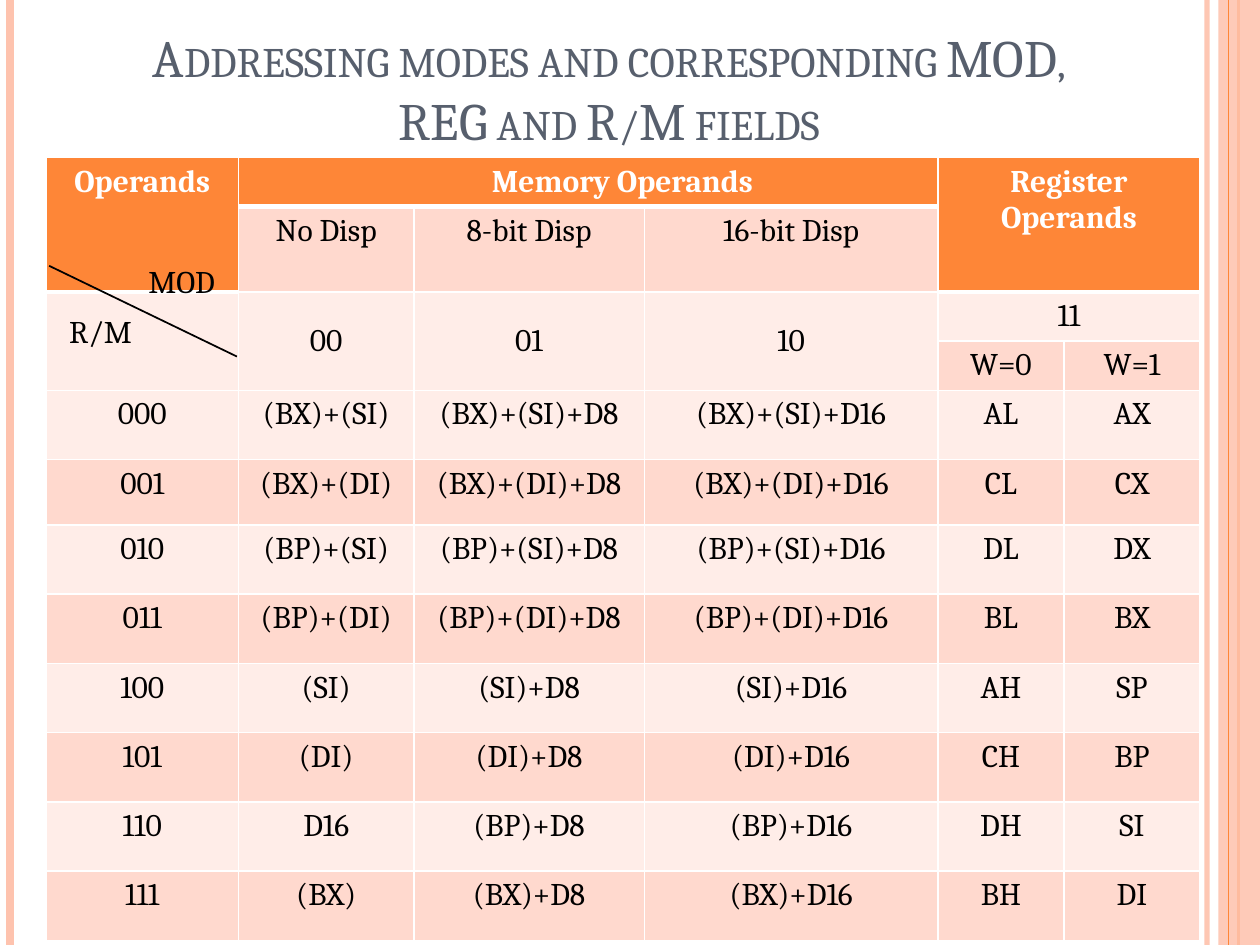
from dataclasses import dataclass
from typing import Optional

from lxml import etree
from pptx import Presentation
from pptx import util as u
from pptx.dml.color import RGBColor
from pptx.enum import shapes, text
from pptx.oxml import ns


@dataclass(frozen=True)
class Theme:
    font: str = "Cambria"
    title_size: int = 30
    body_size: int = 18
    title: str = "575F6D"
    ink: str = "000000"
    white: str = "FFFFFF"
    accent: str = "FE8637"
    stripe: str = "FEC3AE"
    pale: str = "FFEDE8"
    tint: str = "FFD9CE"


@dataclass(frozen=True)
class Stripe:
    x: float
    color: str
    weight: float
    opacity: int = 100


@dataclass(frozen=True)
class Label:
    words: str
    x: float
    y: float


@dataclass(frozen=True)
class Cell:
    row: int
    column: int
    words: str
    fill: str
    rows: int = 1
    columns: int = 1
    header: bool = False
    middle: bool = False
    indent: float = 0.1


@dataclass(frozen=True)
class Mode:
    code: str
    base: str
    byte_register: str
    word_register: str
    undisplaced: Optional[str] = None


THEME = Theme()
WIDTH, HEIGHT = u.Inches(10), u.Inches(7.5)

# Lengths are percentages of the slide's width (x) or height (y)
COLUMNS = (15.3, 13.9, 18.3, 23.3, 10, 10.8)
ROWS = (5.2, 8.93, 5.2, 5.2, 7.33, 6.93) + (7.33,) * 6
TABLE_LEFT, TABLE_TOP = 3.64, 16.67
# (row boundary, column) pairs under the header cells
HEAVY_EDGES = {(1, 1), (1, 2), (1, 3), (2, 0), (2, 4), (2, 5)}

STRIPES = (
    Stripe(95.8, THEME.stripe, 3, 93),
    Stripe(0.8, THEME.stripe, 4.5),
    Stripe(98.3, THEME.accent, 1.5),
)
INNER_STRIPE = Stripe(97.5, THEME.accent, 0.75)
LABELS = (Label("MOD", 10.8, 27.07), Label("R/M", 4.5, 32.4))

HEADER_CELLS = [
    Cell(0, 0, "Operands", THEME.accent, rows=2, header=True),
    Cell(0, 1, "Memory Operands", THEME.accent, columns=3, header=True, indent=0.64),
    Cell(0, 4, "Register Operands", THEME.accent, rows=2, columns=2, header=True),
    Cell(2, 0, "", THEME.pale, rows=2),
    Cell(2, 4, "11", THEME.pale, columns=2),
    Cell(3, 4, "W=0", THEME.tint),
    Cell(3, 5, "W=1", THEME.tint),
]
DISPLACEMENTS = (("No Disp", "00"), ("8-bit Disp", "01"), ("16-bit Disp", "10"))
MODES = (
    Mode("000", "(BX)+(SI)", "AL", "AX"),
    Mode("001", "(BX)+(DI)", "CL", "CX"),
    Mode("010", "(BP)+(SI)", "DL", "DX"),
    Mode("011", "(BP)+(DI)", "BL", "BX"),
    Mode("100", "(SI)", "AH", "SP"),
    Mode("101", "(DI)", "CH", "BP"),
    Mode("110", "(BP)", "DH", "SI", "D16"),
    Mode("111", "(BX)", "BH", "DI"),
)


def across(percent: float) -> int:
    return round(WIDTH * percent / 100)


def down(percent: float) -> int:
    return round(HEIGHT * percent / 100)


def set_opacity(fill_parent, percent: int) -> None:
    color = fill_parent.find(".//" + ns.qn("a:srgbClr"))
    etree.SubElement(color, ns.qn("a:alpha"), val=str(percent * 1000))


def add_run(paragraph, words: str, color: str, size: int = THEME.body_size, bold: bool = False):
    run = paragraph.add_run()
    run.text = words
    run.font.name, run.font.size, run.font.bold = THEME.font, u.Pt(size), bold
    run.font.color.rgb = RGBColor.from_string(color)
    return run


def add_line(parent, start, end, color: str, weight: float):
    line = parent.add_connector(
        shapes.MSO_CONNECTOR.STRAIGHT,
        across(start[0]), down(start[1]), across(end[0]), down(end[1]))
    line.line.color.rgb = RGBColor.from_string(color)
    line.line.width = u.Pt(weight)
    etree.SubElement(line._element.spPr, ns.qn("a:effectLst"))
    return line


def add_stripe(slide, stripe: Stripe) -> None:
    line = add_line(slide.shapes, (stripe.x, 0), (stripe.x, 100), stripe.color, stripe.weight)
    if stripe.opacity < 100:
        set_opacity(line._element.spPr, stripe.opacity)


def add_band(slide) -> None:
    band = slide.shapes.add_shape(
        shapes.MSO_SHAPE.RECTANGLE, across(96.7), 0, across(3.3), HEIGHT)
    band.shadow.inherit = False
    band.fill.solid()
    band.fill.fore_color.rgb = RGBColor.from_string(THEME.stripe)
    band.line.fill.background()
    set_opacity(band._element.spPr, 87)


def format_title(title) -> None:
    title.left, title.top, title.width, title.height = across(7.5), 0, across(81.7), down(16.67)
    frame = title.text_frame
    frame.vertical_anchor = text.MSO_ANCHOR.BOTTOM
    frame.auto_size = text.MSO_AUTO_SIZE.NONE
    paragraph = frame.paragraphs[0]
    paragraph.alignment = text.PP_ALIGN.CENTER
    run = add_run(paragraph, "Addressing modes and corresponding MOD, REG and R/M fields",
                  THEME.title, THEME.title_size)
    run.font._element.set("cap", "small")


def set_borders(cell, row: int, column: int) -> None:
    properties = cell._tc.get_or_add_tcPr()
    boundaries = {"lnL": None, "lnR": None, "lnT": row, "lnB": row + 1}
    for side, boundary in boundaries.items():
        weight = 3 if (boundary, column) in HEAVY_EDGES else 1
        border = etree.SubElement(properties, ns.qn("a:" + side), w=str(u.Pt(weight)))
        fill = etree.SubElement(border, ns.qn("a:solidFill"))
        etree.SubElement(fill, ns.qn("a:srgbClr"), val=THEME.white)


def fill_cell(table, item: Cell) -> None:
    cell = table.cell(item.row, item.column)
    last_row, last_column = item.row + item.rows - 1, item.column + item.columns - 1
    if (last_row, last_column) != (item.row, item.column):
        cell.merge(table.cell(last_row, last_column))
    for row in range(item.row, last_row + 1):
        for column in range(item.column, last_column + 1):
            part = table.cell(row, column)
            # A merged header shows its heavy edge below its last row
            set_borders(part, last_row if part is cell or row == item.row else row, column)
            part.fill.solid()
            part.fill.fore_color.rgb = RGBColor.from_string(item.fill)
    cell.margin_left = u.Inches(item.indent)
    cell.vertical_anchor = text.MSO_ANCHOR.MIDDLE if item.middle else text.MSO_ANCHOR.TOP
    paragraph = cell.text_frame.paragraphs[0]
    paragraph.alignment = text.PP_ALIGN.CENTER
    if item.words:
        add_run(paragraph, item.words, THEME.white if item.header else THEME.ink, bold=item.header)


def table_cells() -> list[Cell]:
    cells = list(HEADER_CELLS)
    for column, (name, code) in enumerate(DISPLACEMENTS, start=1):
        cells.append(Cell(1, column, name, THEME.tint))
        cells.append(Cell(2, column, code, THEME.pale, rows=2, middle=True))
    for row, mode in enumerate(MODES, start=4):
        values = (mode.code, mode.undisplaced or mode.base, mode.base + "+D8",
                  mode.base + "+D16", mode.byte_register, mode.word_register)
        fill = THEME.tint if row % 2 else THEME.pale
        cells += [Cell(row, column, words, fill) for column, words in enumerate(values)]
    return cells


def add_mode_table(slide) -> None:
    table = slide.shapes.add_table(
        len(ROWS), len(COLUMNS), across(TABLE_LEFT), down(TABLE_TOP),
        across(sum(COLUMNS)), down(sum(ROWS))).table
    for column, share in zip(table.columns, COLUMNS):
        column.width = across(share)
    for row, share in zip(table.rows, ROWS):
        row.height = down(share)
    for item in table_cells():
        fill_cell(table, item)


def add_corner(slide) -> None:
    corner = slide.shapes.add_group_shape().shapes
    add_line(corner, (3.9, 28.13), (18.8, 37.73), THEME.ink, 1)
    for label in LABELS:
        box = corner.add_textbox(across(label.x), down(label.y), across(10), down(5.33))
        box.text_frame.word_wrap = True
        add_run(box.text_frame.paragraphs[0], label.words, THEME.ink)


def main() -> None:
    presentation = Presentation()
    presentation.slide_width, presentation.slide_height = WIDTH, HEIGHT
    slide = presentation.slides.add_slide(presentation.slide_layouts[5])
    # Side decoration
    for stripe in STRIPES:
        add_stripe(slide, stripe)
    add_band(slide)
    add_stripe(slide, INNER_STRIPE)
    # Title, table and split corner cell
    format_title(slide.shapes.title)
    add_mode_table(slide)
    add_corner(slide)
    presentation.save("out.pptx")


if __name__ == "__main__":
    main()
